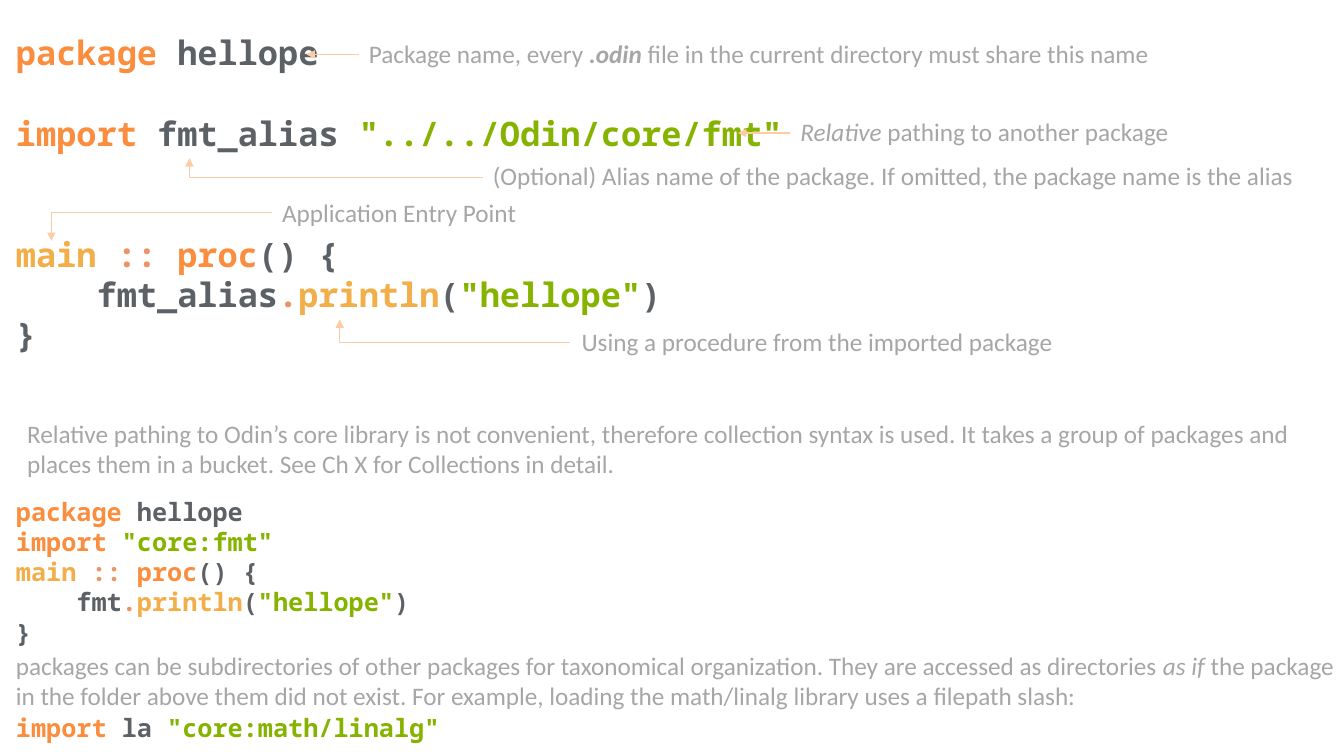
from lxml import etree
from pptx import Presentation
from pptx.dml.color import RGBColor
from pptx.enum.shapes import MSO_CONNECTOR
from pptx.oxml.ns import qn
from pptx.util import Inches, Pt

STRAIGHT = MSO_CONNECTOR.STRAIGHT
ELBOW = MSO_CONNECTOR.ELBOW

KEYWORD = RGBColor(0xFA, 0x8D, 0x3E)
PLAIN = RGBColor(0x5C, 0x61, 0x66)
STRING = RGBColor(0x86, 0xB3, 0x00)
FUNCTION = RGBColor(0xF2, 0xAE, 0x49)
OPERATOR = RGBColor(0xED, 0x93, 0x66)
NOTE = RGBColor(0xA6, 0xA6, 0xA6)
ARROW = RGBColor(0xFD, 0xCB, 0xA5)

CODE_FONT = "Noto Sans Mono"
NOTE_FONT = "Calibri"
BLANK_LAYOUT = 6
CODE_LEFT = 0.06


def add_text(slide, box, lines, font=NOTE_FONT, size=18, bold=False,
             wrap=True, indents=None, gaps=None):
    """Each line is a list of (text, colour, style); style holds "b" or "i".

    indents (inches) and gaps (points above) are keyed by line number.
    """
    frame = slide.shapes.add_textbox(*map(Inches, box)).text_frame
    frame.word_wrap = wrap
    for number, line in enumerate(lines):
        paragraph = frame.paragraphs[0] if number == 0 else frame.add_paragraph()
        if gaps and number in gaps:
            paragraph.space_before = Pt(gaps[number])
        if indents and number in indents:
            properties = paragraph._p.get_or_add_pPr()
            properties.set("marL", str(Inches(indents[number])))
            properties.set("indent", "0")
        for text, colour, style in line:
            run = paragraph.add_run()
            run.text = text
            run.font.name = font
            run.font.size = Pt(size)
            run.font.bold = bold or "b" in style
            run.font.italic = "i" in style
            run.font.color.rgb = colour


def add_note(slide, box, *parts, wrap=True):
    """Parts are plain strings or (text, style) pairs."""
    pairs = [(part, "") if isinstance(part, str) else part for part in parts]
    add_text(slide, box, [[(text, NOTE, style) for text, style in pairs]], wrap=wrap)


def add_code(slide, box, lines, size=18, gaps=None, indents=None):
    runs = [[(text, colour, "") for text, colour in line] for line in lines]
    add_text(slide, box, runs, font=CODE_FONT, size=size, bold=True,
             gaps=gaps, indents=indents)


def hello_program(import_line, package_name):
    return [
        [("package", KEYWORD), (" hellope", PLAIN)],
        import_line,
        [("main ", FUNCTION), (":: ", OPERATOR), ("proc", KEYWORD), ("() {", PLAIN)],
        [(package_name, PLAIN), (".", OPERATOR), ("println", FUNCTION),
         ("(", PLAIN), ('"hellope"', STRING), (")", PLAIN)],
        [("}", PLAIN)],
    ]


def add_arrow(slide, start, end):
    """Straight when level, otherwise across to the end and then up or down."""
    level = start[1] == end[1]
    connector = slide.shapes.add_connector(
        STRAIGHT if level else ELBOW, *map(Inches, start + end))
    connector.line.color.rgb = ARROW
    connector.line.width = Pt(1)
    properties = connector._element.spPr
    if not level:
        adjustments = properties.find(qn("a:prstGeom")).get_or_add_avLst()
        etree.SubElement(adjustments, qn("a:gd"), name="adj1", fmla="val 100000")
    etree.SubElement(properties.find(qn("a:ln")), qn("a:tailEnd"), type="triangle")
    etree.SubElement(properties, qn("a:effectLst"))


def add_annotated_program(slide):
    import_line = [("import", KEYWORD), (" fmt_alias ", PLAIN),
                   ('"../../Odin/core/fmt"', STRING)]
    line_height = 28.8
    add_code(slide, (CODE_LEFT, 0.27, 8.08, 3.33),
             hello_program(import_line, "fmt_alias"), size=24,
             gaps={1: line_height, 2: 2 * line_height}, indents={3: 0.8})

    add_arrow(slide, (3.56, 0.54), (3.04, 0.54))
    add_note(slide, (3.56, 0.33, 8.02, 0.4), "Package name, every ", (".odin ", "bi"),
             "file in the current directory must share this name", wrap=False)
    add_arrow(slide, (7.84, 1.32), (7.32, 1.32))
    add_note(slide, (7.84, 1.1, 3.9, 0.4), ("Relative", "i"),
             " pathing to another package", wrap=False)
    add_arrow(slide, (4.79, 1.76), (1.88, 1.57))
    add_note(slide, (4.79, 1.54, 8.24, 0.4),
             "(Optional) Alias name of the package. If omitted, "
             "the package name is the alias", wrap=False)
    add_arrow(slide, (2.7, 2.11), (0.51, 2.39))
    add_note(slide, (2.7, 1.91, 2.55, 0.4), "Application Entry Point", wrap=False)
    add_arrow(slide, (5.65, 3.4), (3.37, 3.17))
    add_note(slide, (5.67, 3.19, 4.93, 0.4),
             "Using a procedure from the imported package")


def add_collections(slide):
    add_note(slide, (0.17, 4.1, 12.75, 0.71),
             "Relative pathing to Odin’s core library is not convenient, therefore "
             "collection syntax is used. It takes a group of packages and places "
             "them in a bucket. See Ch X for Collections in detail.")
    import_line = [("import ", KEYWORD), ('"core:fmt"', STRING)]
    add_code(slide, (CODE_LEFT, 4.87, 5.5, 1.62),
             hello_program(import_line, "fmt"), indents={3: 0.6})
    add_note(slide, (CODE_LEFT, 6.4, 13.27, 0.71),
             "packages can be subdirectories of other packages for taxonomical "
             "organization. They are accessed as directories ", ("as if ", "i"),
             "the package in the folder above them did not exist. For example, "
             "loading the math/linalg library uses a filepath slash:")
    add_code(slide, (CODE_LEFT, 7.02, 6.67, 0.4),
             [[("import", KEYWORD), (" la ", PLAIN), ('"core:math/linalg"', STRING)]])


def main():
    presentation = Presentation()
    presentation.slide_width = Inches(13.33)
    presentation.slide_height = Inches(7.5)
    slide = presentation.slides.add_slide(presentation.slide_layouts[BLANK_LAYOUT])
    add_annotated_program(slide)
    add_collections(slide)
    presentation.save("out.pptx")


if __name__ == "__main__":
    main()
